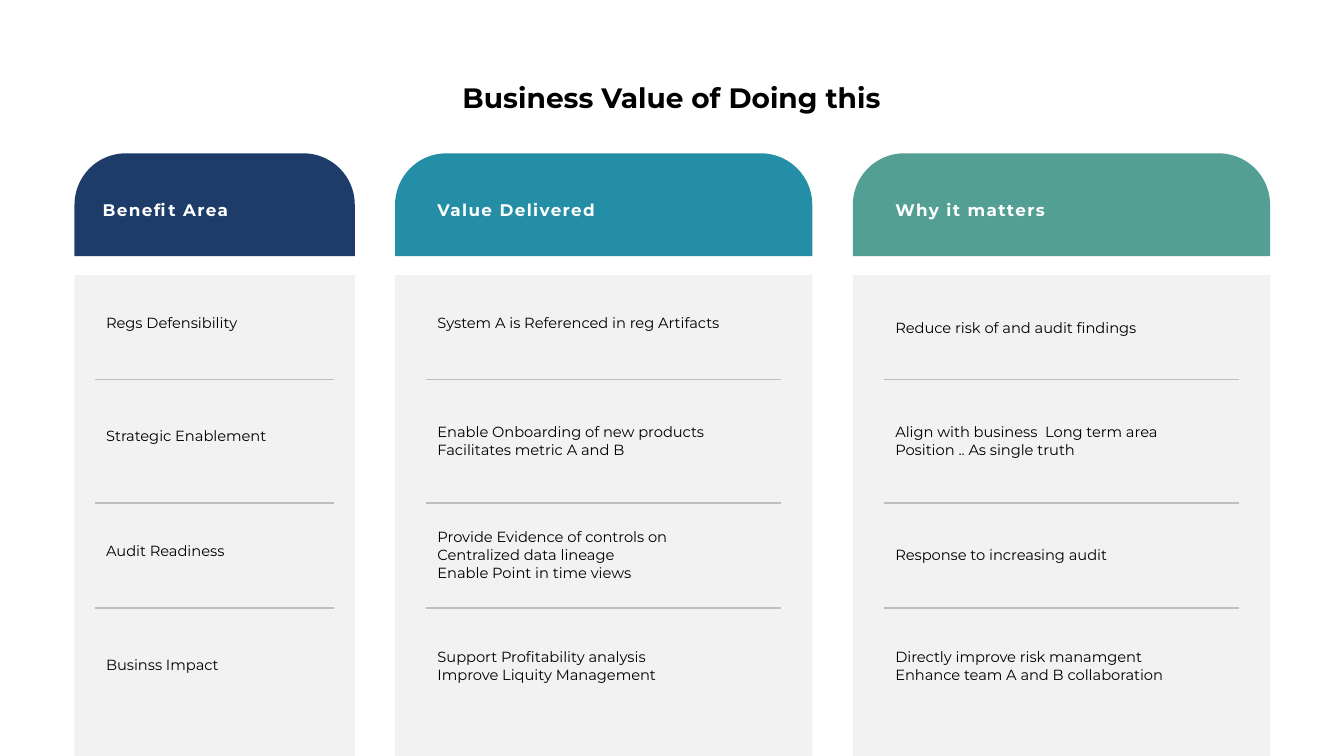
from lxml.etree import SubElement
from pptx import Presentation
from pptx.dml.color import RGBColor
from pptx.enum.shapes import MSO_CONNECTOR, MSO_SHAPE
from pptx.enum.text import MSO_ANCHOR, MSO_AUTO_SIZE, PP_ALIGN
from pptx.oxml.ns import qn
from pptx.util import Pt

FONT = "Montserrat"
HEADER_TOP, HEADER_HEIGHT = 109.5, 73.5
HEADER_TEXT_TOP = 139
PANEL_TOP, PAGE_BOTTOM = 196.5, 540
DIVIDER_TOPS = (271.3, 359.2, 434.2)

# left, width, inset, header inset, colour, heading, entries as (top, text)
COLUMNS = [
    (53.2, 200.2, 14.6, 12.2, "1E3C69", "Benefit Area", [
        (220.3, "Regs Defensibility"),
        (301.7, "Strategic Enablement"),
        (383.5, "Audit Readiness"),
        (465, "Businss Impact"),
    ]),
    (282.2, 298, 22.3, 22.3, "248EA6", "Value Delivered", [
        (220.3, "System A is Referenced in reg Artifacts"),
        (298.8, "Enable Onboarding of new products\nFacilitates metric A and B"),
        (373.8, "Provide Evidence of controls on\nCentralized data lineage\n"
                "Enable Point in time views"),
        (459.5, "Support Profitability analysis\nImprove Liquity Management"),
    ]),
    (609.2, 298, 22.3, 22.3, "549F93", "Why it matters", [
        (223.9, "Reduce risk of and audit findings"),
        (298.8, "Align with business  Long term area\nPosition .. As single truth"),
        (386.7, "Response to increasing audit"),
        (459.5, "Directly improve risk manamgent\nEnhance team A and B collaboration"),
    ]),
]


def colour(value):
    return RGBColor.from_string(value)


def style(paragraph, size, value, bold=False):
    font = paragraph.font
    font.name, font.size, font.bold = FONT, Pt(size), bold
    font.color.rgb = colour(value)


def add_title(page, left, top, width, height):
    title = page.shapes.title
    title.left, title.top, title.width, title.height = map(Pt, (left, top, width, height))
    frame = title.text_frame
    frame.auto_size = MSO_AUTO_SIZE.NONE
    frame.vertical_anchor = MSO_ANCHOR.TOP
    frame.text = "Business Value of Doing this"
    frame.paragraphs[0].alignment = PP_ALIGN.CENTER
    style(frame.paragraphs[0], 20, "000000", bold=True)


def add_block(page, left, top, width, height, fill, rounding):
    block = page.shapes.add_shape(
        MSO_SHAPE.ROUND_2_SAME_RECTANGLE, *map(Pt, (left, top, width, height)))
    block.adjustments[0], block.adjustments[1] = rounding, 0
    block.shadow.inherit = False
    block.fill.solid()
    block.fill.fore_color.rgb = colour(fill)
    block.line.fill.background()


def add_text(page, left, top, width, text, size, value, bold=False):
    lines = text.count("\n") + 1
    height = 7.2 + lines * size * 1.22
    box = page.shapes.add_textbox(*map(Pt, (left, top, width, height)))
    frame = box.text_frame
    frame.word_wrap = True
    frame.margin_left = Pt(8)
    paragraph = frame.paragraphs[0]
    paragraph.text = text.replace("\n", "\v")
    style(paragraph, size, value, bold)
    return paragraph


def add_divider(page, left, top, width):
    divider = page.shapes.add_connector(
        MSO_CONNECTOR.STRAIGHT, *map(Pt, (left, top, left + width, top)))
    divider.line.color.rgb = colour("BFBFBF")
    divider.line.width = Pt(1)
    SubElement(divider._element.spPr, qn("a:effectLst"))


def add_column(page, left, width, inset, header_inset, fill, heading, entries):
    # Header with letter-spaced heading
    add_block(page, left, HEADER_TOP, width, HEADER_HEIGHT, fill, 0.5)
    header = add_text(page, left + header_inset, HEADER_TEXT_TOP,
                      width - 2 * header_inset, heading, 12, "FFFFFF", bold=True)
    for span in header.runs:
        span._r.get_or_add_rPr().set("spc", "100")

    # Panel with entries and dividers
    add_block(page, left, PANEL_TOP, width, PAGE_BOTTOM - PANEL_TOP, "F2F2F2", 0)
    inner_left, inner_width = left + inset, width - 2 * inset
    for top, text in entries:
        add_text(page, inner_left, top, inner_width, text, 10.5, "000000")
    for top in DIVIDER_TOPS:
        add_divider(page, inner_left, top, inner_width)


def main():
    deck = Presentation()
    deck.slide_width, deck.slide_height = Pt(960), Pt(540)
    page = deck.slides.add_slide(deck.slide_layouts[5])
    add_title(page, 120, 54, 719.5, 31.5)
    for column in COLUMNS:
        add_column(page, *column)
    deck.save("out.pptx")


if __name__ == "__main__":
    main()
